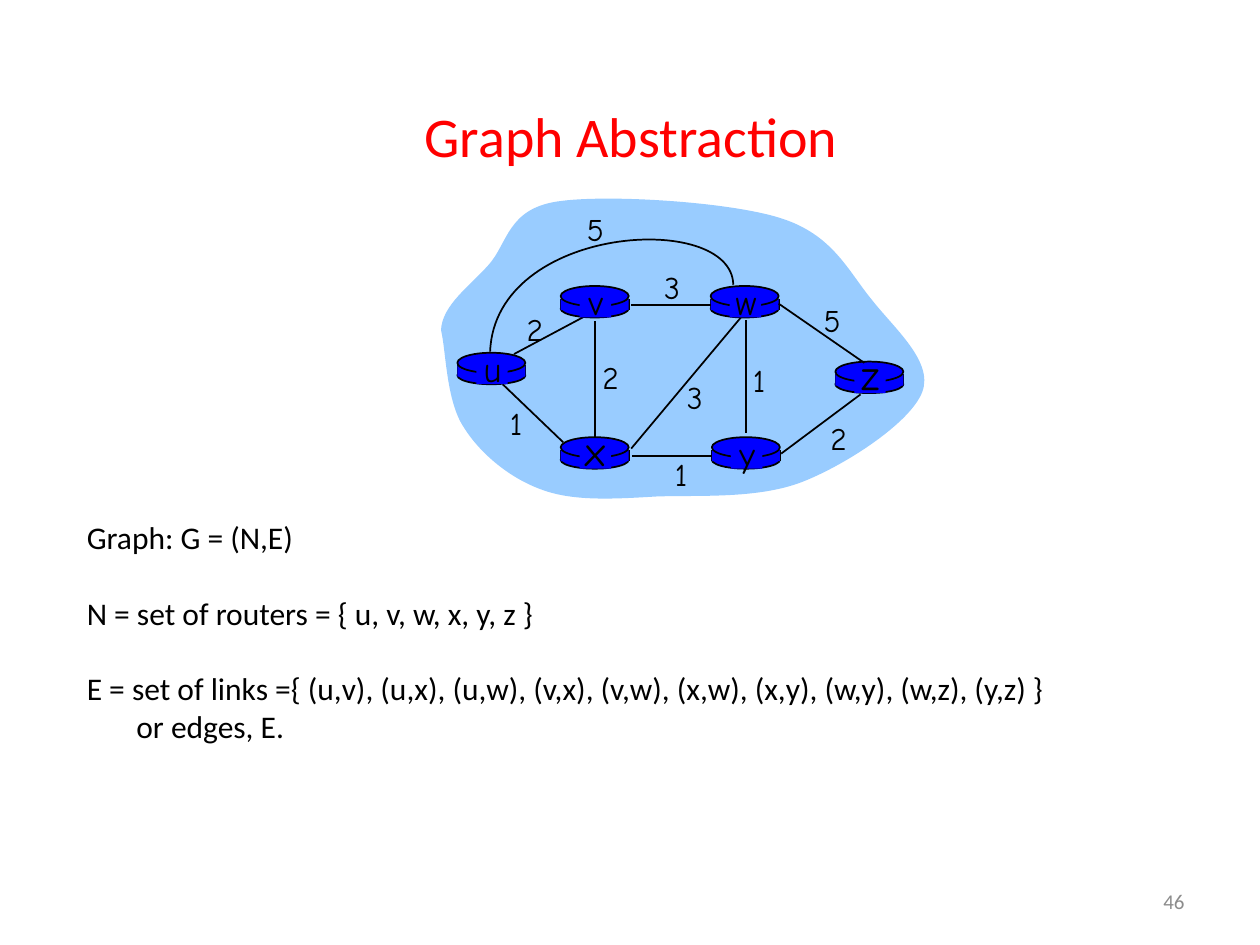
"""Build the graph abstraction slide: a small router network and its notation."""
from lxml.etree import SubElement as Sub
from pptx import Presentation
from pptx.dml.color import RGBColor
from pptx.enum.shapes import MSO_CONNECTOR as Conn, MSO_SHAPE as Shape
from pptx.enum.text import MSO_ANCHOR as Anchor, PP_ALIGN as Align
from pptx.oxml.ns import qn
from pptx.util import Cm, Pt

BLACK = RGBColor(0, 0, 0)
RED = RGBColor(0xFF, 0, 0)
GRAY = RGBColor(0x8C, 0x8C, 0x8C)
BLUE = RGBColor(0, 0, 0xFF)
SKY = RGBColor(0x99, 0xCC, 0xFF)
SANS, COMIC = "Calibri", "Comic Neue"

TITLE = "Graph Abstraction"
PAGE = "46"
GAP = {"space_before": Pt(21.75)}
NOTES = [
    ("Graph: G = (N,E)", {}, 0),
    ("N = set of routers = { u, v, w, x, y, z }", GAP, 0),
    ("E = set of links ={ (u,v), (u,x), (u,w), (v,x), (v,w), (x,w), (x,y), (w,y), (w,z), (y,z) }",
     GAP, 0),
    ("or edges, E.", {}, 1),
]
NODES = [
    ("u", 3.63, 2.8, 20), ("x", 4.45, 3.47, 24), ("v", 4.45, 2.27, 20),
    ("w", 5.64, 2.27, 20), ("y", 5.65, 3.47, 20), ("z", 6.63, 2.87, 24),
]
LINKS = [
    ((4.08, 2.81), (4.68, 2.49)), ((5.92, 2.54), (5.92, 3.44)),
    ((4.72, 2.55), (4.72, 3.48)), ((5.01, 3.56), (5.88, 2.52)),
    ((6.2, 3.6), (6.83, 3.13)), ((5.65, 3.62), (5.02, 3.62)),
    ((4.47, 3.51), (3.99, 3.05)), ((5.64, 2.42), (5.01, 2.42)),
    ((6.86, 2.88), (6.18, 2.41)),
]
COSTS = [
    ("2", 4.07, 2.41), ("2", 4.67, 2.79), ("1", 3.94, 3.16), ("3", 5.34, 2.95),
    ("1", 5.25, 3.56), ("1", 5.87, 2.82), ("2", 6.48, 3.28), ("5", 6.43, 2.34),
    ("3", 5.16, 2.08), ("5", 4.55, 1.62),
]
CLOUD = [
    (3.5, 2.62), (3.51, 2.42), (3.73, 2.27), (3.88, 2.1), (4.03, 1.93), (4.03, 1.66),
    (4.42, 1.6), (4.8, 1.54), (5.78, 1.6), (6.19, 1.73), (6.61, 1.86), (6.73, 2.15),
    (6.92, 2.38), (7.1, 2.61), (7.41, 2.87), (7.32, 3.11), (7.23, 3.35), (6.73, 3.68),
    (6.38, 3.82), (6.03, 3.96), (5.57, 3.93), (5.22, 3.94), (4.88, 3.96), (4.56, 3.98),
    (4.31, 3.89), (4.05, 3.8), (3.81, 3.6), (3.68, 3.39), (3.54, 3.18), (3.54, 2.78),
    (3.5, 2.62),
]
ARC = [(5.82, 2.26), (5.81, 1.67), (3.93, 1.78), (3.89, 2.79)]


def cm(*vals):
    return [Cm(val * 2.54) for val in vals]


def put(obj, form):
    for key, val in form.items():
        setattr(obj, key, val)


def paint(shape, fill=None, line=None):
    shape.shadow.inherit = False
    for part, color in ((shape.fill, fill), (shape.line.fill, line)):
        if color is None:
            part.background()
        else:
            part.solid()
            part.fore_color.rgb = color
    if line is not None:
        shape.line.width = Pt(1)


def block(tree, kind, box, line=None):
    paint(tree.add_shape(kind, *cm(*box)), BLUE, line)


def link(tree, start, end):
    wire = tree.add_connector(Conn.STRAIGHT, *cm(*start, *end))
    wire.line.color.rgb = BLACK
    wire.line.width = Pt(1)
    Sub(wire._element.spPr, qn("a:effectLst"))


def curve(tree, knots, closed, fill=None, line=None):
    form = tree.build_freeform(*cm(*knots[0]))
    form.add_line_segments([cm(*knot) for knot in knots[1:]], close=closed)
    shape = form.convert_to_shape()
    legs = list(shape._element.iter(qn("a:lnTo")))
    for i in range(0, len(legs), 3):
        bend = legs[i]
        bend.tag = qn("a:cubicBezTo")
        for leg in legs[i + 1:i + 3]:
            bend.append(leg[0])
            leg.getparent().remove(leg)
    paint(shape, fill, line)


def text(tree, box, lines, size, name, color, align=Align.LEFT, wrap=True,
         anchor=Anchor.TOP):
    frame = tree.add_textbox(*cm(*box)).text_frame
    put(frame, {"word_wrap": wrap, "vertical_anchor": anchor})
    for i, (words, form, inset) in enumerate(lines):
        par = frame.paragraphs[0] if i == 0 else frame.add_paragraph()
        put(par, {"alignment": align, **form})
        if inset:
            par._p.get_or_add_pPr().set("marL", str(Cm(inset)))
        run = par.add_run()
        run.text = words
        put(run.font, {"size": Pt(size), "name": name})
        run.font.color.rgb = color


def label(tree, word, box, size):
    text(tree, box, [(word, {}, 0)], size, COMIC, BLACK, Align.CENTER, False)


def router(tree, x, y):
    wide, high = 0.54, 0.09
    block(tree, Shape.OVAL, (x, y + 0.11, wide, 0.14), BLACK)
    for side in (x, x + wide):
        link(tree, (side, y + 0.1), (side, y + 0.1 + high))
    block(tree, Shape.RECTANGLE, (x, y + 0.1, wide, high))
    block(tree, Shape.OVAL, (x, y, wide, 0.16), BLACK)


def main():
    deck = Presentation()
    put(deck, dict(zip(("slide_width", "slide_height"), cm(10, 7.5))))
    tree = deck.slides.add_slide(deck.slide_layouts[6]).shapes
    text(tree, (7.17, 6.95, 2.33, 0.4), [(PAGE, {}, 0)], 12, SANS, GRAY,
         Align.RIGHT, anchor=Anchor.MIDDLE)
    curve(tree, CLOUD, True, fill=SKY)
    link(tree, *LINKS[0])
    for _, x, y, _ in NODES:
        router(tree, x, y)
    for ends in LINKS[1:]:
        link(tree, *ends)
    curve(tree, ARC, False, line=BLACK)
    for name, x, y, size in NODES:
        block(tree, Shape.RECTANGLE, (x + 0.15, y + 0.02, 0.25, 0.23))
        rise, high = (0.09, 0.43) if size == 20 else (0.15, 0.5)
        label(tree, name, (x + 0.1, y - rise, 0.36, high), size)
    for cost, x, y in COSTS:
        label(tree, cost, (x, y, 0.31 if cost == "1" else 0.35, 0.4), 18)
    text(tree, (0.59, 4.06, 8.78, 1.92), NOTES, 18, SANS, BLACK, wrap=False)
    text(tree, (0.51, 0.76, 9, 1.25), [(TITLE, {}, 0)], 32, SANS, RED, Align.CENTER)
    deck.save("out.pptx")


if __name__ == "__main__":
    main()
